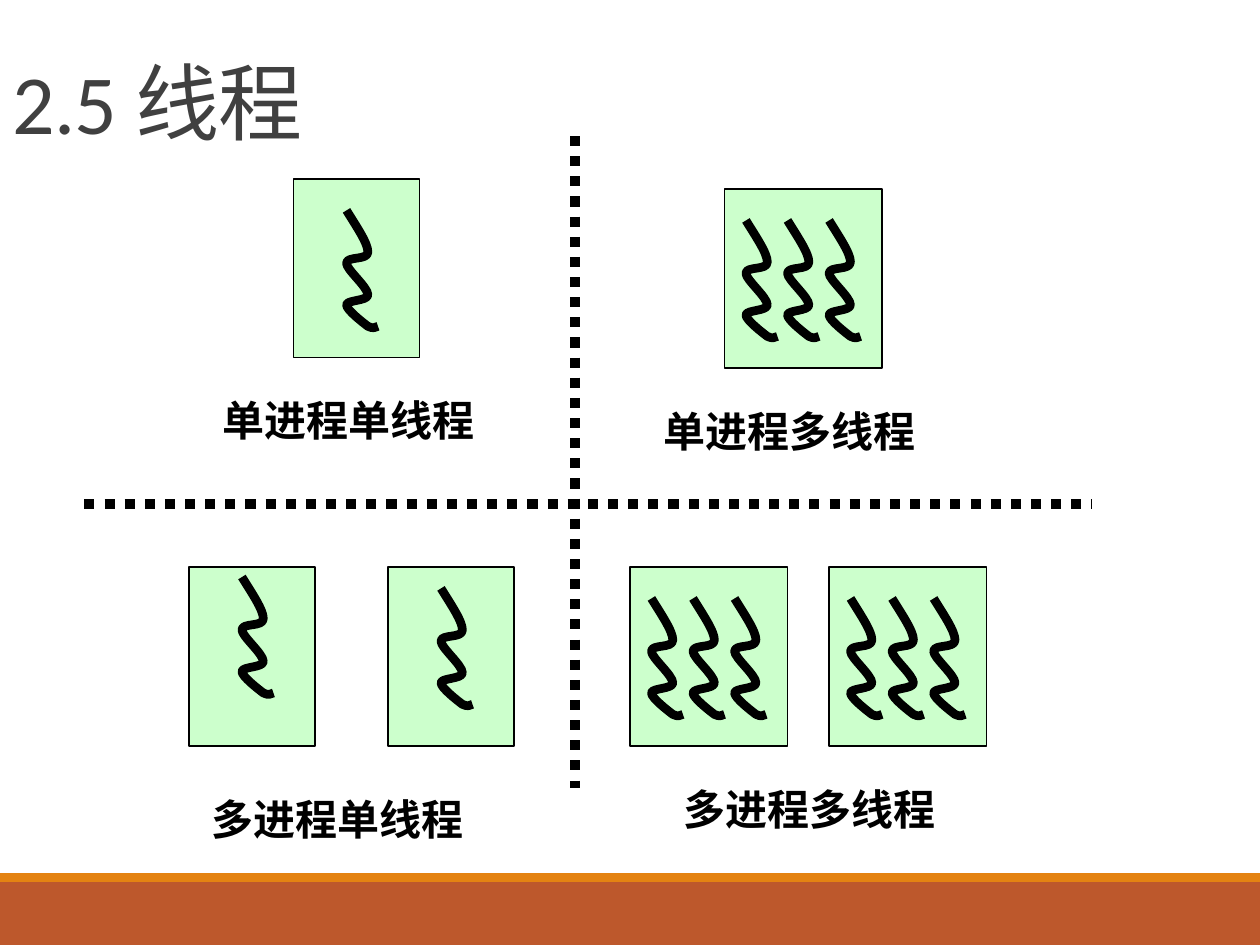
import pptx
import pptx.dml.color
import pptx.enum.dml
import pptx.enum.shapes
import pptx.enum.text
import pptx.oxml.ns
import pptx.util
from lxml import etree

Inches = pptx.util.Inches
Pt = pptx.util.Pt
RGBColor = pptx.dml.color.RGBColor
qn = pptx.oxml.ns.qn
RECTANGLE = pptx.enum.shapes.MSO_SHAPE.RECTANGLE

BLACK = RGBColor(0x00, 0x00, 0x00)
TITLE_GRAY = RGBColor(0x40, 0x40, 0x40)
PROCESS_GREEN = RGBColor(0xCC, 0xFF, 0xCC)
RUST = RGBColor(0xBD, 0x58, 0x2C)
ORANGE = RGBColor(0xE4, 0x83, 0x12)

TITLE = "2.5 线程"
FOOTER_BARS = [(7, 0.5, RUST), (6.93, 0.07, ORANGE)]

# Each process: left, top, width, first thread (dx, dy), thread count
SINGLE_PROCESS = (2.33, 1.42, 1, (0.42, 0.25), 1)
PROCESS_GROUPS = [
    [(1.5, 4.5, 1, (0.42, 0.08), 1), (3.08, 4.5, 1, (0.42, 0.17), 1)],
    [(5.75, 1.5, 1.25, (0.17, 0.25), 3)],
    [(5, 4.5, 1.25, (0.17, 0.25), 3)],
    [(6.58, 4.5, 1.25, (0.17, 0.25), 3)],
]
PROCESS_HEIGHT = 1.42
THREAD_GAP = 0.33

LABELS = [
    ("单进程单线程", 1.67, 3.08),
    ("单进程多线程", 5.17, 3.17),
    ("多进程单线程", 1.58, 6.25),
    ("多进程多线程", 5.33, 6.17),
]

DIVIDERS = [((0.67, 4), (8.67, 4)), ((4.56, 1.08), (4.56, 6.25))]

# Cubic curves of one thread from (0, 0): two control points and an end point
THREAD_CURVES = [
    ((0.08, 0.13), (0.17, 0.26), (0.17, 0.33)),
    ((0.17, 0.4), (0, 0.36), (0, 0.42)),
    ((0, 0.47), (0.17, 0.61), (0.17, 0.67)),
    ((0.17, 0.72), (0, 0.71), (0, 0.75)),
    ((0, 0.79), (0.13, 0.89), (0.17, 0.92)),
    ((0.21, 0.94), (0.23, 0.93), (0.25, 0.92)),
]


def add_rectangle(shapes, left, top, width, height, color):
    box = shapes.add_shape(RECTANGLE, Inches(left), Inches(top), Inches(width), Inches(height))
    box.shadow.inherit = False
    box.fill.solid()
    box.fill.fore_color.rgb = color
    box.line.fill.background()
    return box


def set_line(shape, width):
    shape.line.color.rgb = BLACK
    shape.line.width = Pt(width)


def bend_segments(shape):
    """Turn every three straight segments into one cubic curve."""
    outline = next(shape._element.iter(qn("a:path")))
    segments = outline.findall(qn("a:lnTo"))
    for first in range(0, len(segments), 3):
        curve = etree.SubElement(outline, qn("a:cubicBezTo"))
        for segment in segments[first:first + 3]:
            curve.append(segment[0])
            outline.remove(segment)


def add_thread(shapes, left, top):
    builder = shapes.build_freeform(Inches(left), Inches(top), scale=1.0)
    builder.add_line_segments([(Inches(left + x), Inches(top + y))
                               for curve in THREAD_CURVES for x, y in curve], close=False)
    thread = builder.convert_to_shape()
    bend_segments(thread)
    thread.shadow.inherit = False
    thread.fill.background()
    set_line(thread, 5)


def add_process(shapes, left, top, width, first_thread, count):
    box = add_rectangle(shapes, left, top, width, PROCESS_HEIGHT, PROCESS_GREEN)
    set_line(box, 0.75)
    dx, dy = first_thread
    for index in range(count):
        add_thread(shapes, left + dx + index * THREAD_GAP, top + dy)


def add_text(page, text, left, top, width, height, font, size, color):
    box = page.shapes.add_textbox(Inches(left), Inches(top), Inches(width), Inches(height))
    span = box.text_frame.paragraphs[0].add_run()
    span.text = text
    span.font.name = font
    span.font.size = Pt(size)
    span.font.color.rgb = color
    return box.text_frame, span


def add_title(page):
    frame, span = add_text(page, TITLE, 0, 0, 10, 1.25, "Calibri", 48, TITLE_GRAY)
    frame.word_wrap = True
    frame.vertical_anchor = pptx.enum.text.MSO_ANCHOR.BOTTOM
    frame.paragraphs[0].line_spacing = 0.85
    span.font._element.set("spc", "-50")


def add_label(page, text, left, top):
    frame, span = add_text(page, text, left, top, 2.2, 0.5, "Arial", 24, BLACK)
    frame.word_wrap = False
    frame.auto_size = pptx.enum.text.MSO_AUTO_SIZE.SHAPE_TO_FIT_TEXT
    span.font.bold = True


def add_divider(page, start, end):
    divider = page.shapes.add_connector(pptx.enum.shapes.MSO_CONNECTOR.STRAIGHT,
                                        *map(Inches, start + end))
    set_line(divider, 5.75)
    divider.line.dash_style = pptx.enum.dml.MSO_LINE.ROUND_DOT
    etree.SubElement(divider._element.spPr, qn("a:effectLst"))


def main():
    deck = pptx.Presentation()
    deck.slide_width, deck.slide_height = Inches(10), Inches(7.5)
    page = deck.slides.add_slide(deck.slide_layouts[6])
    for top, height, color in FOOTER_BARS:
        add_rectangle(page.shapes, 0, top, 10, height, color)
    add_title(page)
    add_process(page.shapes, *SINGLE_PROCESS)
    for start, end in DIVIDERS:
        add_divider(page, start, end)
    for processes in PROCESS_GROUPS:
        group = page.shapes.add_group_shape()
        for process in processes:
            add_process(group.shapes, *process)
    for label in LABELS:
        add_label(page, *label)
    deck.save("out.pptx")


if __name__ == "__main__":
    main()
